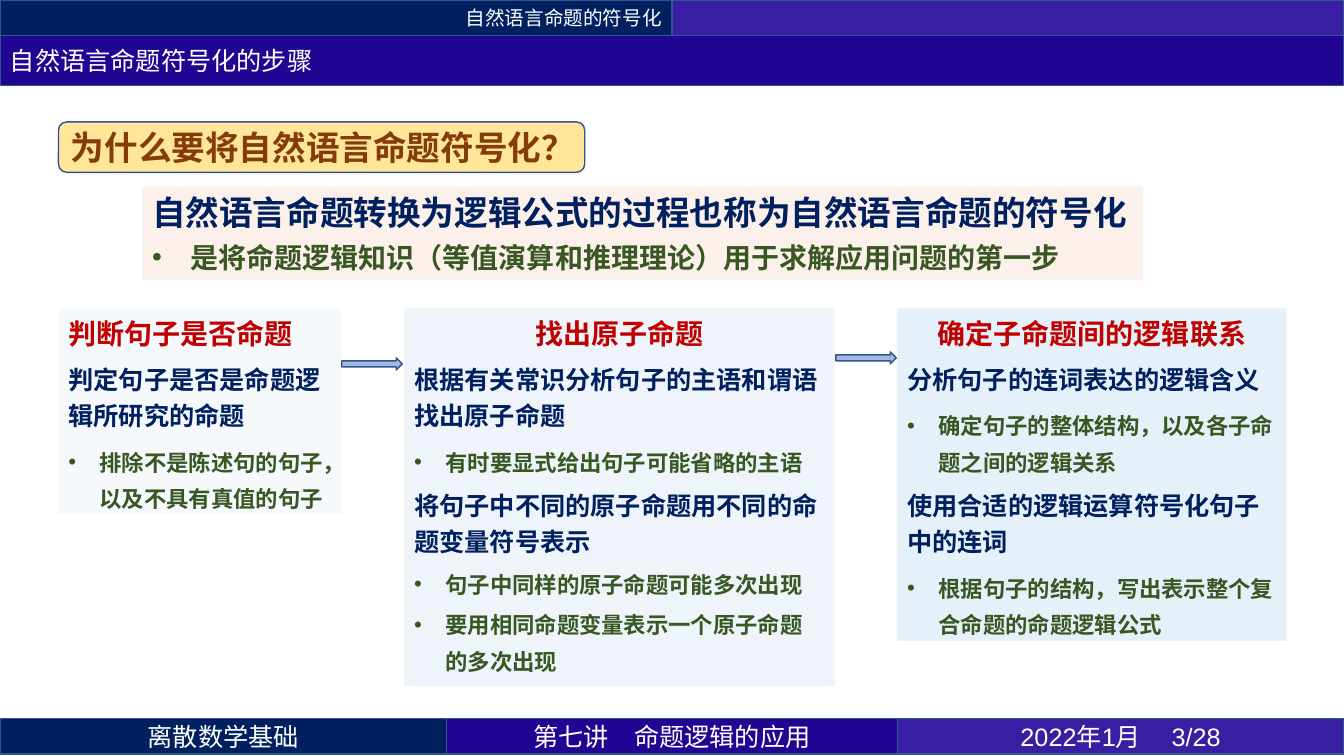
from dataclasses import dataclass

import pptx
import pptx.dml.color
import pptx.enum.shapes
import pptx.enum.text
import pptx.oxml.ns
import pptx.util
from lxml import etree

Inches = pptx.util.Inches
Pt = pptx.util.Pt
Shape = pptx.enum.shapes.MSO_SHAPE
Align = pptx.enum.text.PP_ALIGN
Anchor = pptx.enum.text.MSO_ANCHOR
qn = pptx.oxml.ns.qn

CHINESE_FONT = "Noto Sans CJK SC"
NAVY, INDIGO, VIOLET = "002060", "210694", "371EA2"
WHITE, RED, GREEN, BROWN = "FFFFFF", "C00000", "385723", "843C0B"
EDGE = "325491"
PAGE_WIDTH = 13.33


@dataclass
class Line:
    text: str
    size: int
    color: str
    bold: bool = True
    align: Align = Align.LEFT
    indent: float = 0  # a hanging indent marks a bullet
    before: int = 6
    font: str = CHINESE_FONT


@dataclass
class Block:
    left: float
    top: float
    width: float
    height: float
    fill: str
    lines: tuple = ()
    kind: Shape = Shape.RECTANGLE
    opacity: int = 100
    outlined: bool = True
    anchor: Anchor = Anchor.MIDDLE
    spacing: int = 0  # exact line height in points


def rgb(color: str) -> pptx.dml.color.RGBColor:
    return pptx.dml.color.RGBColor.from_string(color)


def add_line(para, line: Line, first: bool, spacing: int) -> None:
    formats = {"alignment": line.align, "space_before": Pt(0 if first else line.before)}
    if spacing:
        formats["line_spacing"] = Pt(spacing)
    if line.indent:
        properties = para._p.get_or_add_pPr()
        properties.set("marL", str(Inches(line.indent)))
        properties.set("indent", str(-Inches(line.indent)))
        etree.SubElement(properties, qn("a:buFont"), typeface="Arial")
        etree.SubElement(properties, qn("a:buChar"), char="•")
    for name, value in formats.items():
        setattr(para, name, value)

    span = para.add_run()
    span.text = line.text
    span.font.color.rgb = rgb(line.color)
    for name, value in {"size": Pt(line.size), "bold": line.bold, "name": line.font}.items():
        setattr(span.font, name, value)
    etree.SubElement(span._r.get_or_add_rPr(), qn("a:ea"), typeface=CHINESE_FONT)


def add_block(page, block: Block) -> None:
    box = page.shapes.add_shape(
        block.kind, *map(Inches, (block.left, block.top, block.width, block.height)))
    box.shadow.inherit = False
    box.fill.solid()
    box.fill.fore_color.rgb = rgb(block.fill)
    if block.opacity < 100:
        color = box._element.spPr.find(qn("a:solidFill"))[0]
        etree.SubElement(color, qn("a:alpha"), val=str(block.opacity * 1000))
    if block.outlined:
        box.line.color.rgb = rgb(EDGE)
        box.line.width = Pt(1)
    else:
        box.line.fill.background()

    frame = box.text_frame
    frame.word_wrap = True
    frame.vertical_anchor = block.anchor
    for index, line in enumerate(block.lines):
        para = frame.add_paragraph() if index else frame.paragraphs[0]
        add_line(para, line, index == 0, block.spacing)


def bar_text(text: str, size: int = 18, align: Align = Align.CENTER,
             font: str = CHINESE_FONT) -> tuple:
    return (Line(text, size, WHITE, False, align, font=font),)


def heading(text: str, align: Align = Align.CENTER) -> Line:
    return Line(text, 20, RED, align=align)


def point(text: str) -> Line:
    return Line(text, 18, NAVY)


def detail(text: str, before: int = 6) -> Line:
    return Line(text, 16, GREEN, indent=0.31, before=before)


def panel(left: float, width: float, height: float, opacity: int, *lines: Line) -> Block:
    return Block(left, 3.06, width, height, "DEEBF7", lines, opacity=opacity,
                 outlined=False, anchor=Anchor.TOP, spacing=26)


def arrow(left: float, top: float) -> Block:
    return Block(left, top, 0.6, 0.12, "4472C4", kind=Shape.RIGHT_ARROW, opacity=50)


# Header and footer bars
half = PAGE_WIDTH / 2
bars = [
    Block(0, 0, half, 0.35, NAVY, bar_text("自然语言命题的符号化", 14, Align.RIGHT)),
    Block(half, 0, half, 0.35, VIOLET),
    Block(0, 7.13, 4.43, 0.35, NAVY, bar_text("离散数学基础")),
    Block(4.43, 7.13, 4.47, 0.35, INDIGO, bar_text("第七讲\t命题逻辑的应用")),
    Block(8.9, 7.13, 4.43, 0.35, VIOLET, bar_text("2022年1月 \t3/28", font="Arial")),
    Block(0, 0.35, PAGE_WIDTH, 0.5, INDIGO,
          bar_text("自然语言命题符号化的步骤", align=Align.LEFT)),
]

# Question and its answer
introduction = [
    Block(0.58, 1.21, 5.22, 0.5, "FFE699",
          (Line("为什么要将自然语言命题符号化？", 24, BROWN),), Shape.ROUNDED_RECTANGLE),
    Block(1.41, 1.85, 9.93, 0.93, "FBE5D6", (
        Line("自然语言命题转换为逻辑公式的过程也称为自然语言命题的符号化", 24, NAVY),
        Line("是将命题逻辑知识（等值演算和推理理论）用于求解应用问题的第一步", 20, GREEN,
             indent=0.38),
    ), opacity=50, outlined=False, anchor=Anchor.TOP),
]

# Three steps joined by arrows
steps = [
    panel(0.58, 2.81, 2.04, 25,
          heading("判断句子是否命题", Align.LEFT),
          point("判定句子是否是命题逻辑所研究的命题"),
          detail("排除不是陈述句的句子，以及不具有真值的句子")),
    panel(4.01, 4.27, 3.75, 50,
          heading("找出原子命题"),
          point("根据有关常识分析句子的主语和谓语找出原子命题"),
          detail("有时要显式给出句子可能省略的主语"),
          point("将句子中不同的原子命题用不同的命题变量符号表示"),
          detail("句子中同样的原子命题可能多次出现", 3),
          detail("要用相同命题变量表示一个原子命题的多次出现", 3)),
    panel(8.9, 3.86, 3.3, 75,
          heading("确定子命题间的逻辑联系"),
          point("分析句子的连词表达的逻辑含义"),
          detail("确定句子的整体结构，以及各子命题之间的逻辑关系"),
          point("使用合适的逻辑运算符号化句子中的连词"),
          detail("根据句子的结构，写出表示整个复合命题的命题逻辑公式")),
    arrow(3.39, 3.55),
    arrow(8.29, 3.49),
]


def main() -> None:
    deck = pptx.Presentation()
    deck.slide_width, deck.slide_height = Inches(PAGE_WIDTH), Inches(7.5)
    page = deck.slides.add_slide(deck.slide_layouts[6])
    for block in bars + introduction + steps:
        add_block(page, block)
    deck.save("out.pptx")


if __name__ == "__main__":
    main()
